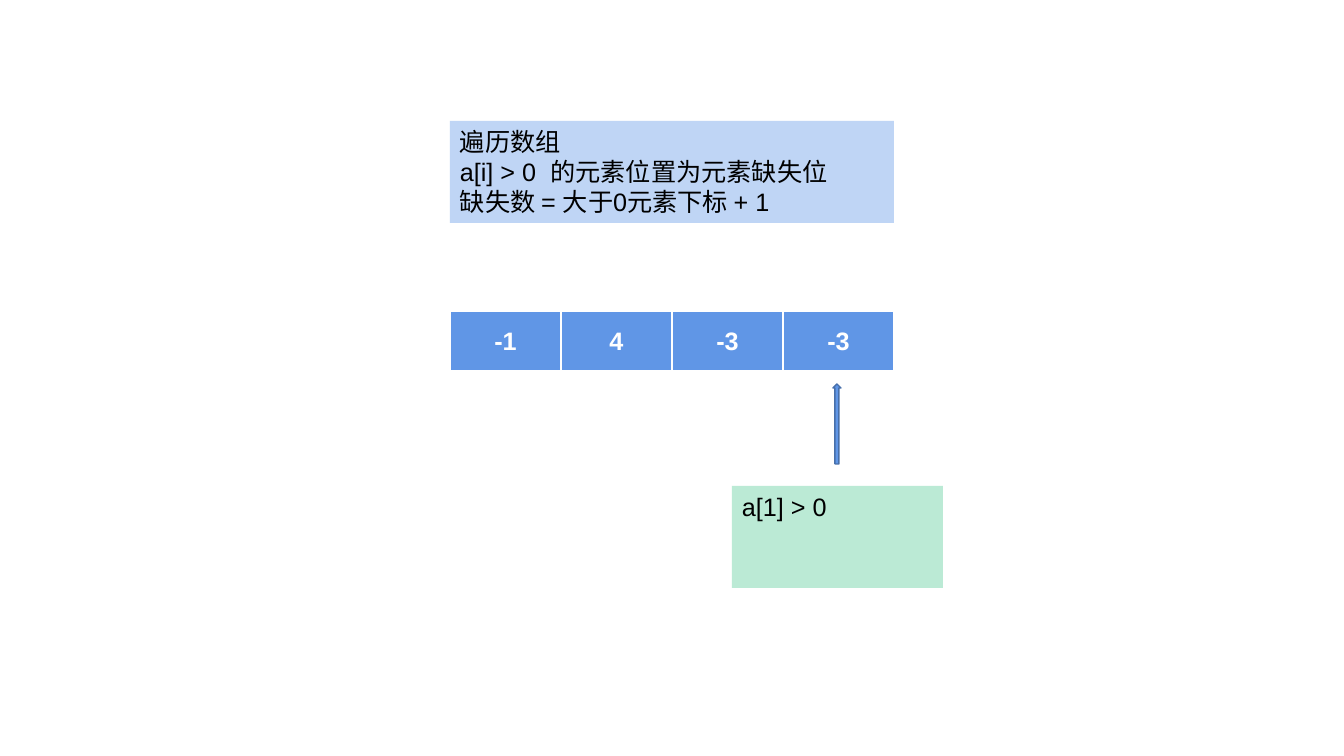
"""Draw the array slide that finds the missing number."""
from dataclasses import dataclass

from lxml.etree import SubElement
from pptx import Presentation
from pptx.dml.color import RGBColor
from pptx.enum.shapes import MSO_SHAPE
from pptx.enum.text import MSO_ANCHOR, PP_ALIGN
from pptx.oxml.ns import qn
from pptx.shapes.autoshape import Shape
from pptx.slide import Slide
from pptx.table import _Cell
from pptx.text.text import TextFrame
from pptx.util import Emu, Pt

SCALE = 12192000 / 1344


@dataclass(frozen=True)
class Theme:
    font: str = "Arial"
    size: int = 18
    blue: str = "6096E6"
    edge: str = "476FAA"
    pale: str = "BFD5F5"
    green: str = "BBEAD5"
    white: str = "FFFFFF"
    black: str = "000000"


@dataclass(frozen=True)
class Box:
    left: int
    top: int
    width: int
    height: int

    def emu(self) -> tuple[Emu, Emu, Emu, Emu]:
        return px(self.left), px(self.top), px(self.width), px(self.height)


@dataclass(frozen=True)
class Note:
    box: Box
    fill: str
    text: str


THEME = Theme()
ARRAY = Box(450, 311, 444, 61)
ITEMS = ["-1", "4", "-3", "-3"]
ARROW = Box(833, 384, 8, 80)
NOTES = [
    Note(
        Box(450, 121, 444, 102),
        THEME.pale,
        "遍历数组\na[i] > 0  的元素位置为元素缺失位\n缺失数 = 大于0元素下标 + 1",
    ),
    Note(Box(732, 486, 211, 102), THEME.green, "a[1] > 0"),
]
BORDERS = {"a:lnL": 1, "a:lnR": 1, "a:lnT": 1, "a:lnB": 3}


def px(count: int) -> Emu:
    return Emu(round(count * SCALE))


def color(code: str) -> RGBColor:
    return RGBColor.from_string(code)


def style(frame: TextFrame, ink: str, align: PP_ALIGN, bold: bool) -> None:
    for para in frame.paragraphs:
        para.alignment = align
        for run in para.runs:
            run.font.name = THEME.font
            run.font.size = Pt(THEME.size)
            run.font.bold = bold
            run.font.color.rgb = color(ink)


def add_form(slide: Slide, kind: MSO_SHAPE, box: Box, fill: str) -> Shape:
    form = slide.shapes.add_shape(kind, *box.emu())
    form.shadow.inherit = False
    form.fill.solid()
    form.fill.fore_color.rgb = color(fill)
    return form


def add_note(slide: Slide, note: Note) -> None:
    form = add_form(slide, MSO_SHAPE.RECTANGLE, note.box, note.fill)
    form.line.fill.background()
    frame = form.text_frame
    frame.word_wrap = True
    frame.vertical_anchor = MSO_ANCHOR.TOP
    frame.text = note.text
    style(frame, THEME.black, PP_ALIGN.LEFT, False)


def add_arrow(slide: Slide, box: Box) -> None:
    form = add_form(slide, MSO_SHAPE.UP_ARROW, box, THEME.blue)
    form.line.color.rgb = color(THEME.edge)
    form.line.width = Pt(1)


def add_borders(cell: _Cell) -> None:
    props = cell._tc.get_or_add_tcPr()
    for tag, width in BORDERS.items():
        line = SubElement(props, qn(tag), w=str(Pt(width)))
        fill = SubElement(line, qn("a:solidFill"))
        SubElement(fill, qn("a:srgbClr"), val=THEME.white)


def add_array(slide: Slide, box: Box, items: list[str]) -> None:
    table = slide.shapes.add_table(1, len(items), *box.emu()).table
    for cell, item in zip(table.iter_cells(), items):
        add_borders(cell)
        cell.fill.solid()
        cell.fill.fore_color.rgb = color(THEME.blue)
        cell.vertical_anchor = MSO_ANCHOR.MIDDLE
        cell.text_frame.text = item
        style(cell.text_frame, THEME.white, PP_ALIGN.CENTER, True)


def main() -> None:
    deck = Presentation()
    deck.slide_width, deck.slide_height = px(1344), px(756)
    slide = deck.slides.add_slide(deck.slide_layouts[6])
    add_array(slide, ARRAY, ITEMS)
    for note in NOTES:
        add_note(slide, note)
    add_arrow(slide, ARROW)
    deck.save("out.pptx")


if __name__ == "__main__":
    main()
